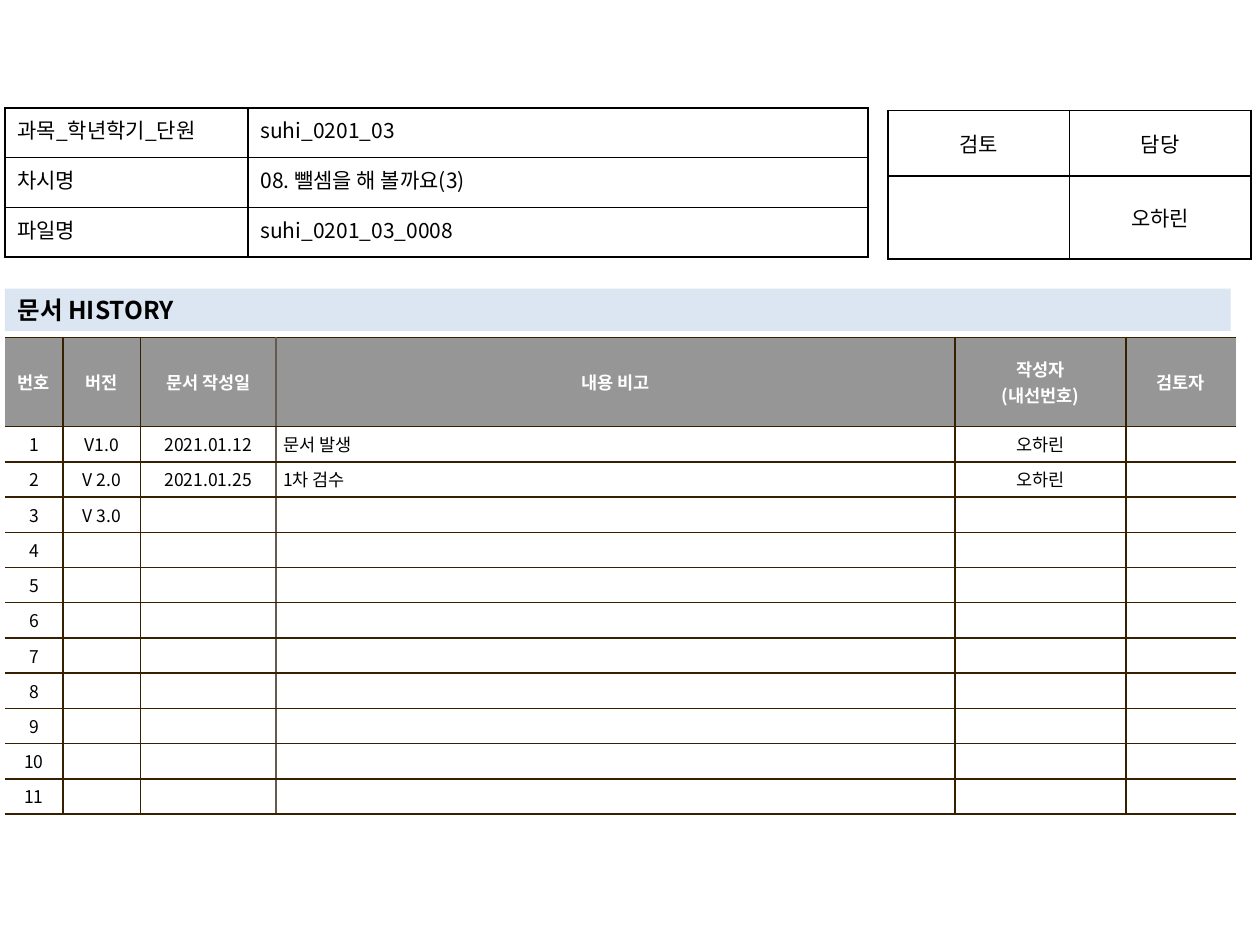
from lxml import etree
from pptx import Presentation
from pptx import util as u
from pptx.dml.color import RGBColor
from pptx.enum import text
from pptx.oxml import ns

FONT = "Noto Sans CJK KR"
NO_STYLE = "{2D5ABB26-0587-4C30-8999-92F81FD0307C}"
BROWN, TAUPE, BLACK, WHITE = "362000", "645B4C", "000000", "FFFFFF"
CENTER, LEFT = text.PP_ALIGN.CENTER, text.PP_ALIGN.LEFT
JUSTIFY = text.PP_ALIGN.JUSTIFY
MIDDLE, TOP = text.MSO_ANCHOR.MIDDLE, text.MSO_ANCHOR.TOP


def color(value):
    """Turn a hex string into a colour."""
    return RGBColor.from_string(value)


def set_attributes(target, values):
    """Set every attribute named in a dict."""
    for name, value in values.items():
        setattr(target, name, value)


def set_fill(target, value):
    """Fill solid, or leave clear when there is no colour."""
    if value is None:
        target.fill.background()
    else:
        target.fill.solid()
        target.fill.fore_color.rgb = color(value)


def write_text(frame, content, size, ink=BLACK, bold=False, align=LEFT):
    """Write one paragraph for each line of the content."""
    for index, line in enumerate(content.split("\n")):
        paragraph = frame.paragraphs[0] if index == 0 else frame.add_paragraph()
        paragraph.alignment = align
        if not line:
            end = etree.SubElement(paragraph._p, ns.qn("a:endParaRPr"))
            end.set("sz", str(size * 100))
            continue
        run = paragraph.add_run()
        run.text = line
        set_attributes(run.font, {"size": u.Pt(size), "name": FONT, "bold": bold})
        run.font.color.rgb = color(ink)
        east_asian = etree.SubElement(run._r.get_or_add_rPr(), ns.qn("a:ea"))
        east_asian.set("typeface", FONT)


def hang(paragraph, distance):
    """Give a paragraph a hanging indent."""
    properties = paragraph._p.get_or_add_pPr()
    properties.set("marL", str(distance))
    properties.set("indent", str(-distance))


def set_borders(cell, borders):
    """Draw 1 pt cell borders; a side without colour gets no line."""
    properties = cell._tc.get_or_add_tcPr()
    for side in "LRTB":
        line = etree.SubElement(properties, ns.qn(f"a:ln{side}"), w=str(u.Pt(1)))
        value = borders[side]
        if value is None:
            etree.SubElement(line, ns.qn("a:noFill"))
        else:
            solid = etree.SubElement(line, ns.qn("a:solidFill"))
            etree.SubElement(solid, ns.qn("a:srgbClr"), val=value)


def add_plain_table(slide, left, top, widths, heights):
    """Add a table without a banded style; sizes are in centimetres."""
    frame = slide.shapes.add_table(
        len(heights), len(widths), u.Cm(left), u.Cm(top),
        u.Cm(sum(widths)), u.Cm(sum(heights)))
    table = frame.table
    set_attributes(table, {"first_row": False, "horz_banding": False})
    table._tbl.tblPr.find(ns.qn("a:tableStyleId")).text = NO_STYLE
    for column, width in zip(table.columns, widths):
        column.width = u.Cm(width)
    for row, height in zip(table.rows, heights):
        row.height = u.Cm(height)
    return table


def fill_cell(cell, content, borders, fill=None, margins=(0.25, 0.13),
              anchor=MIDDLE, **text_format):
    """Format one cell and write its text."""
    side, end = map(u.Cm, margins)
    set_borders(cell, borders)
    set_fill(cell, fill)
    set_attributes(cell, {
        "margin_left": side, "margin_right": side, "margin_top": end,
        "margin_bottom": end, "vertical_anchor": anchor})
    write_text(cell.text_frame, content, **text_format)


def add_boxed_table(slide, left, top, widths, heights, rows, aligns, anchor):
    """Add a black-ruled table with an alignment for each column."""
    table = add_plain_table(slide, left, top, widths, heights)
    borders = dict.fromkeys("LRTB", BLACK)
    for row_index, row in enumerate(rows):
        for column_index, content in enumerate(row):
            fill_cell(table.cell(row_index, column_index), content, borders,
                      anchor=anchor, size=12, align=aligns[column_index])


def add_history_table(slide):
    """Add the numbered revision history."""
    header = ["번호", "버전", "문서 작성일", "내용 비고", "작성자\n(내선번호)", "검토자"]
    entries = [
        ["V1.0", "2021.01.12", "문서 발생", "오하린", ""],
        ["V 2.0", "2021.01.25", "1차 검수", "오하린", ""],
        ["V 3.0", "", "", "", ""],
    ]
    count, note_column = 11, 3
    entries += [[""] * 5] * (count - len(entries))
    rows = [header] + [[str(number), *entry]
                       for number, entry in enumerate(entries, 1)]
    table = add_plain_table(slide, 0.1, 6.8,
                            [1.17, 1.56, 2.73, 13.69, 3.45, 2.21],
                            [1.8] + [0.71] * count)
    verticals = [None, BROWN, BROWN, TAUPE, BROWN, BROWN, None]
    for row_index, row in enumerate(rows):
        is_header = row_index == 0
        for column_index, content in enumerate(row):
            cell = table.cell(row_index, column_index)
            is_note = column_index == note_column and not is_header
            borders = {"L": verticals[column_index],
                       "R": verticals[column_index + 1],
                       "T": BROWN, "B": BROWN}
            fill_cell(cell, content, borders,
                      fill="969696" if is_header else WHITE,
                      margins=(0.15, 0.1), size=10,
                      ink=WHITE if is_header else BLACK, bold=is_header,
                      align=LEFT if is_note else CENTER)
            if is_note and content:
                hang(cell.text_frame.paragraphs[0], u.Cm(0.48))


def add_heading(slide, content):
    """Place the title as a pale blue band."""
    title = slide.shapes.title
    set_attributes(title, {"left": u.Cm(0.1), "top": u.Cm(5.82),
                           "width": u.Cm(24.71), "height": u.Cm(0.85)})
    set_fill(title, "DCE6F2")
    set_attributes(title.text_frame, {
        "word_wrap": True, "auto_size": text.MSO_AUTO_SIZE.NONE,
        "vertical_anchor": MIDDLE})
    write_text(title.text_frame, content, size=14, bold=True)


def main():
    """Build the document history slide."""
    presentation = Presentation()
    set_attributes(presentation, {"slide_width": u.Cm(25.4),
                                  "slide_height": u.Cm(19.05)})
    slide = presentation.slides.add_slide(presentation.slide_layouts[5])
    add_history_table(slide)
    add_boxed_table(slide, 17.9, 2.23, [3.66, 3.66], [1.32, 1.67],
                    [["검토", "담당"], ["", "오하린"]], [CENTER, CENTER], MIDDLE)
    add_heading(slide, "문서 HISTORY")
    add_boxed_table(slide, 0.1, 2.18, [4.9, 12.5], [1.0] * 3,
                    [["과목_학년학기_단원", "suhi_0201_03"],
                     ["차시명", "08. 뺄셈을 해 볼까요(3)"],
                     ["파일명", "suhi_0201_03_0008"]], [JUSTIFY, LEFT], TOP)
    presentation.save("out.pptx")


main()
